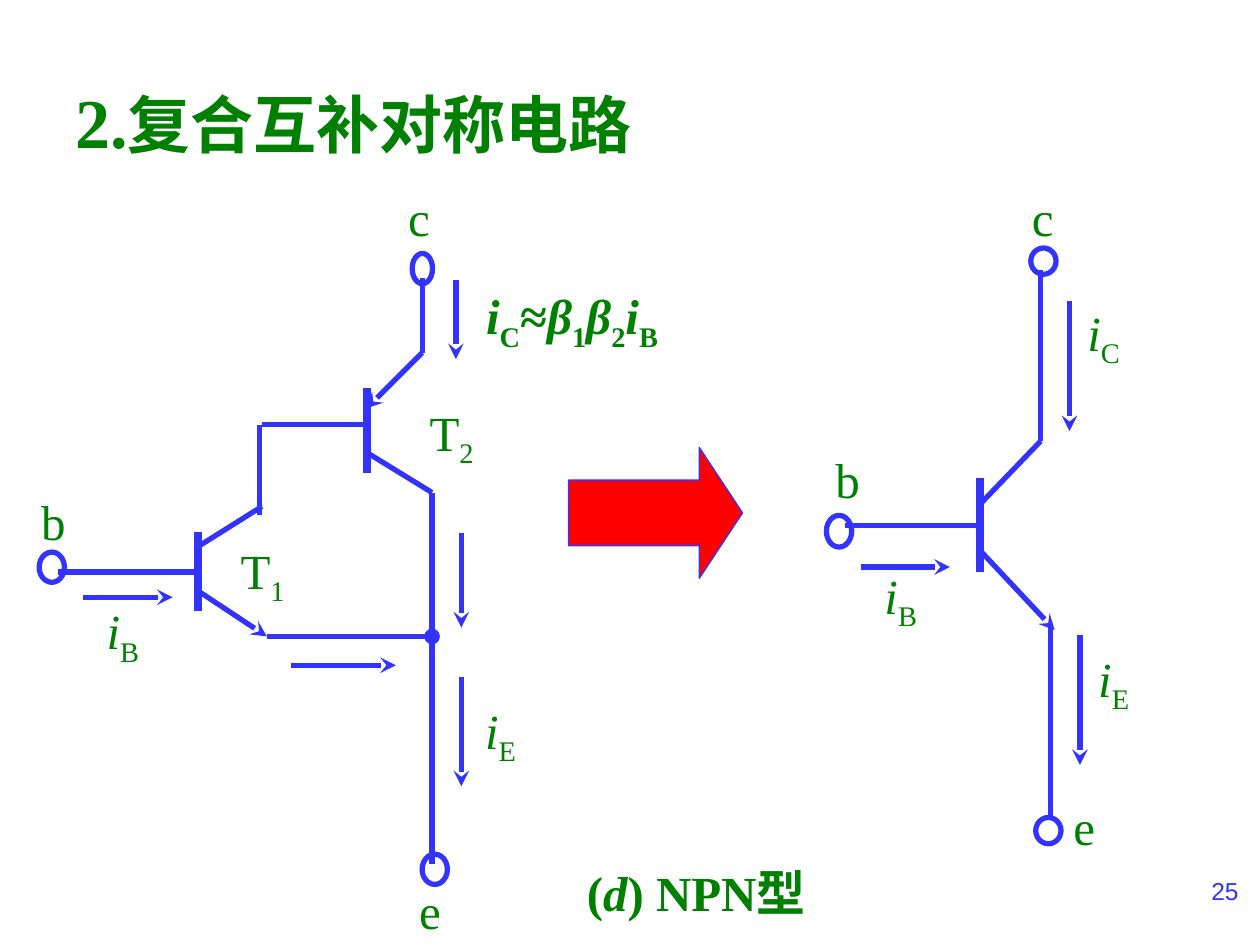
from pptx import Presentation, util as u
from pptx.dml.color import RGBColor
from pptx.enum import shapes, text
from pptx.oxml.ns import qn
from lxml import etree

COLOURS = {"wire": "3333FF", "label": "008000", "arrow": "FF0000"}


class CircuitSlide:
    serif = "Times New Roman"
    label_size = 28
    wire_width = 3
    bar_width = 4.5

    def __init__(self, slide):
        self.slide = slide

    @staticmethod
    def colour(name):
        return RGBColor.from_string(COLOURS[name])

    def outline(self, line, width):
        line.color.rgb = self.colour("wire")
        line.width = u.Pt(width)

    def wire(self, x1, y1, x2, y2, end=None, width=wire_width):
        line = self.slide.shapes.add_connector(
            shapes.MSO_CONNECTOR.STRAIGHT, u.Cm(x1), u.Cm(y1), u.Cm(x2), u.Cm(y2))
        self.outline(line.line, width)
        properties = line._element.spPr
        if end:
            etree.SubElement(properties.find(qn("a:ln")), qn("a:tailEnd"), type=end)
        etree.SubElement(properties, qn("a:effectLst"))

    def shape(self, kind, x, y, w, h, fill=None, width=wire_width):
        shape = self.slide.shapes.add_shape(kind, u.Cm(x), u.Cm(y), u.Cm(w), u.Cm(h))
        shape.shadow.inherit = False
        if fill:
            shape.fill.solid()
            shape.fill.fore_color.rgb = self.colour(fill)
        else:
            shape.fill.background()
        self.outline(shape.line, width)
        return shape

    def terminal(self, x, y, w, h):
        self.shape(shapes.MSO_SHAPE.OVAL, x, y, w, h)

    def text(self, x, y, w, h, runs, size=label_size, bold=False, colour="label",
             font=serif, align=text.PP_ALIGN.JUSTIFY, anchor=text.MSO_ANCHOR.TOP):
        """Each run is (words, style); style holds i for italic, s for subscript,
        or a number for a point size of its own."""
        frame = self.slide.shapes.add_textbox(
            u.Cm(x), u.Cm(y), u.Cm(w), u.Cm(h)).text_frame
        frame.word_wrap = True
        frame.vertical_anchor = anchor
        paragraph = frame.paragraphs[0]
        paragraph.alignment = align
        for words, style in runs:
            run = paragraph.add_run()
            run.text = words
            run.font.name = font
            run.font.size = u.Pt(int(style) if style.isdigit() else size)
            run.font.bold = bold
            run.font.italic = style == "i"
            run.font.color.rgb = self.colour(colour)
            if style == "s":
                run.font._element.set("baseline", "-25000")


def main():
    deck = Presentation()
    deck.slide_width, deck.slide_height = u.Cm(25.4), u.Cm(19.05)
    page = CircuitSlide(deck.slides.add_slide(deck.slide_layouts[6]))

    # Title, caption and page number
    page.text(1.27, 0.84, 21.59, 3.18, [("2.", "40"), ("复合互补对称电路", "36")],
              bold=True, align=text.PP_ALIGN.LEFT, anchor=text.MSO_ANCHOR.MIDDLE)
    page.text(11.58, 17.27, 7.37, 1.78, [("(", ""), ("d", "i"), (") NPN型", "")],
              bold=True)
    page.text(19.3, 17.53, 5.92, 1.32, [("25", "")], size=14, colour="wire",
              font="Arial", align=text.PP_ALIGN.RIGHT)

    # Transistor bars: T1, T2 and the equivalent transistor
    for x, top, bottom in [(3.99, 10.72, 12.32), (7.39, 7.82, 9.53),
                           (19.76, 9.63, 11.53)]:
        page.wire(x, top, x, bottom, width=page.bar_width)

    # Plain wires
    compound_wires = [
        (1.17, 11.53, 3.99, 11.53),    # base of T1
        (3.99, 11.02, 5.28, 10.21),    # collector of T1
        (5.23, 10.39, 5.23, 8.56),
        (5.28, 8.56, 7.39, 8.56),      # base of T2
        (8.51, 5.61, 8.51, 7.11),      # down from c
        (7.39, 9.12, 8.71, 9.93),      # collector of T2
        (8.71, 9.93, 8.71, 17.42),     # down to e
    ]
    equivalent_wires = [
        (17.04, 10.59, 19.76, 10.59),  # base
        (19.76, 10.16, 20.98, 8.89),   # collector
        (20.98, 8.89, 20.98, 5.44),    # up to c
        (21.18, 12.57, 21.18, 16.48),  # down to e
    ]
    for ends in compound_wires + equivalent_wires:
        page.wire(*ends)

    # Wire from the emitter of T1 to the junction dot
    page.wire(5.38, 12.83, 8.71, 12.83, end="oval")

    # Emitters and current arrows
    emitters = [(3.99, 11.91, 5.38, 12.83), (8.51, 7.11, 7.39, 8.23),
                (19.76, 11.1, 21.26, 12.7)]
    currents = [
        (1.68, 12.04, 3.48, 12.04), (5.87, 13.41, 7.98, 13.41),
        (9.19, 5.64, 9.19, 7.24), (9.3, 10.74, 9.3, 12.65),
        (9.3, 13.64, 9.3, 15.85), (17.35, 11.43, 19.15, 11.43),
        (21.56, 6.07, 21.56, 8.69), (21.77, 12.8, 21.77, 15.42),
    ]
    for ends in emitters + currents:
        page.wire(*ends, end="stealth")

    # Terminals c, e, b of each circuit
    for box in [(8.31, 5.11, 0.41, 0.61), (8.51, 17.22, 0.51, 0.61),
                (0.79, 11.13, 0.51, 0.61), (20.78, 5, 0.51, 0.53),
                (20.88, 16.48, 0.51, 0.53), (16.66, 10.39, 0.51, 0.64)]:
        page.terminal(*box)

    # Terminal names
    for name, *box in [("c", 7.98, 3.66, 2.54, 2.69), ("e", 8.2, 17.63, 1.9, 1.42),
                       ("b", 0.58, 9.78, 1.9, 1.75), ("c", 20.55, 3.66, 1.75, 2.41),
                       ("e", 21.39, 15.93, 1.78, 2.11),
                       ("b", 16.59, 8.94, 1.93, 1.85)]:
        page.text(*box, [(name, "")])

    # Transistor and current names with subscripts
    for name, style, index, *box in [
            ("T", "", "1", 4.6, 10.77, 2.57, 1.8),
            ("T", "", "2", 8.41, 7.98, 2.11, 2.21),
            ("i", "i", "B", 1.9, 11.99, 2.26, 2.26),
            ("i", "i", "E", 9.53, 14, 2.46, 2.03),
            ("i", "i", "B", 17.58, 11.28, 1.98, 2.16),
            ("i", "i", "E", 21.89, 12.95, 2.13, 2.26),
            ("i", "i", "C", 21.67, 5.97, 2.11, 2.11)]:
        page.text(*box, [(name, style), (index, "s")])

    # Collector current of the compound pair
    page.text(9.55, 5.64, 6.27, 2.13,
              [("i", "i"), ("C", "s"), ("≈", ""), ("β", "i"), ("1", "s"),
               ("β", "i"), ("2", "s"), ("i", "i"), ("B", "s")], bold=True)

    # Arrow from the compound pair to its equivalent
    equivalence = page.shape(shapes.MSO_SHAPE.RIGHT_ARROW, 11.46, 9.02, 3.51, 2.64,
                             fill="arrow", width=0.75)
    equivalence.adjustments[0] = 0.5
    equivalence.adjustments[1] = 0.33

    deck.save("out.pptx")


if __name__ == "__main__":
    main()
